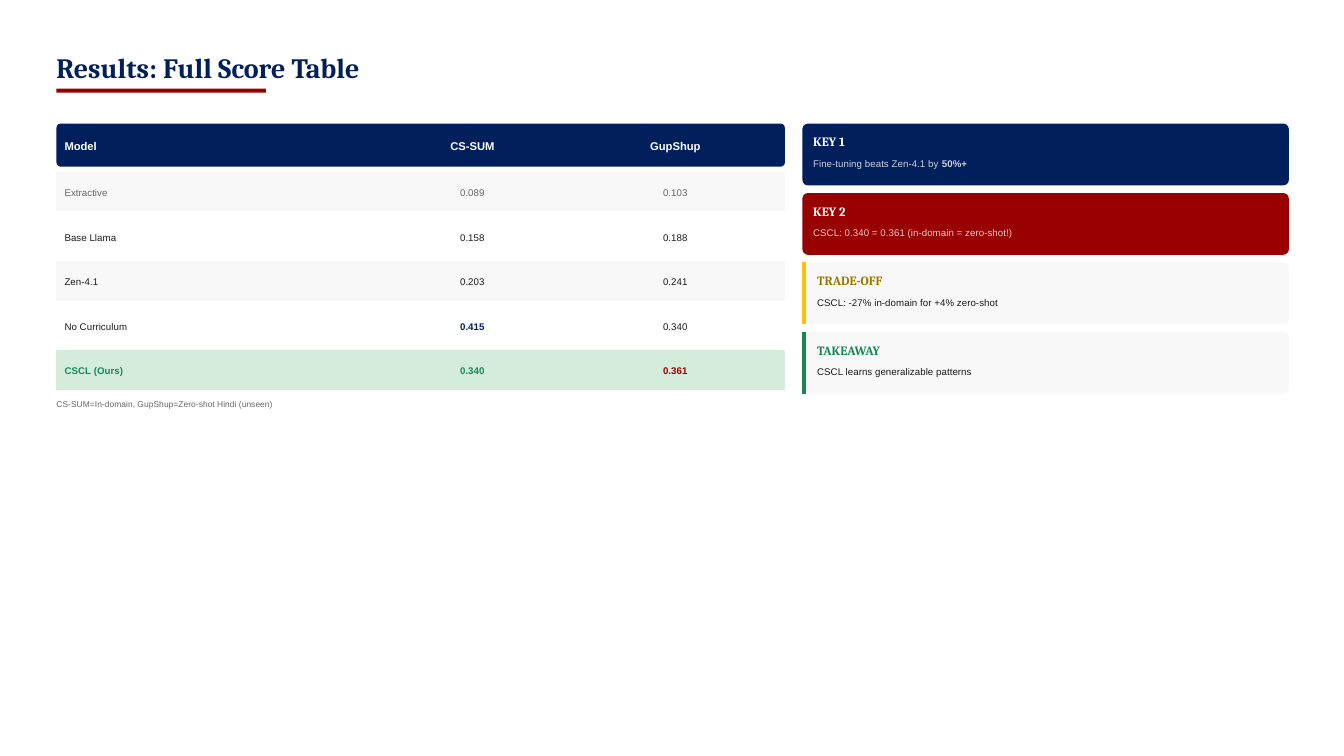
from lxml.etree import SubElement
from pptx import Presentation
from pptx.dml.color import RGBColor
from pptx.enum.shapes import MSO_CONNECTOR, MSO_SHAPE
from pptx.enum.text import MSO_ANCHOR, MSO_AUTO_SIZE, PP_ALIGN
from pptx.oxml import parse_xml
from pptx.oxml.ns import nsdecls, qn
from pptx.util import Inches, Pt

NAVY, RED, GREEN, AMBER = "011F5B", "990000", "198754", "FFC107"
WHITE, PALE, MINT = "FFFFFF", "F8F8F8", "D4EDDA"
INK, GREY, OCHRE = "1A1A1A", "666666", "997A00"

TITLE = "Results: Full Score Table"
NOTE = "CS-SUM=In-domain, GupShup=Zero-shot Hindi (unseen)"
HEADER = ("Model", "CS-SUM", "GupShup")
# row fill, then (text, colour, bold) for each cell
ROWS = [
    (PALE, [("Extractive", GREY, False), ("0.089", GREY, False), ("0.103", GREY, False)]),
    (WHITE, [("Base Llama", INK, False), ("0.158", INK, False), ("0.188", INK, False)]),
    (PALE, [("Zen-4.1", INK, False), ("0.203", INK, False), ("0.241", INK, False)]),
    (WHITE, [("No Curriculum", INK, False), ("0.415", NAVY, True), ("0.340", INK, False)]),
    (MINT, [("CSCL (Ours)", GREEN, True), ("0.340", GREEN, True), ("0.361", RED, True)]),
]
# heading, heading colour, body runs (text, bold), card fill, accent colour
CARDS = [
    ("KEY 1", WHITE, [("Fine-tuning beats Zen-4.1 by ", False), ("50%+", True)], NAVY, None),
    ("KEY 2", WHITE, [("CSCL: 0.340 = 0.361 (in-domain = zero-shot!)", False)], RED, None),
    ("TRADE-OFF", OCHRE, [("CSCL: -27% in-domain for +4% zero-shot", False)], PALE, AMBER),
    ("TAKEAWAY", GREEN, [("CSCL learns generalizable patterns", False)], PALE, GREEN),
]

LEFT, TOP, TABLE_W = 0.42, 0.92, 5.42
COL_WIDTHS = (2.34, 1.51, 1.57)
HEAD_H, ROWS_H, CELL_PAD = 0.34, 1.66, 0.06
CARD_X, CARD_W, CARD_H, CARDS_BOTTOM = 5.97, 3.62, 0.46, 2.93
BODY_SIZE = 5.25


def rgb(value):
    return RGBColor.from_string(value)


def add_run(p, text, size, color, bold=False, font="Arial", alpha=None):
    r = p.add_run()
    r.text = text
    for name, value in dict(size=Pt(size), bold=bold, name=font).items():
        setattr(r.font, name, value)
    r.font.color.rgb = rgb(color)
    if alpha:
        clr = r.font.fill._xPr.find(qn("a:solidFill"))[0]
        SubElement(clr, qn("a:alpha"), val=str(alpha * 1000))


def plain_frame(sp):
    """Clear margins and autofit; return the first paragraph."""
    tf = sp.text_frame
    settings = dict(margin_left=0, margin_top=0, margin_right=0, margin_bottom=0,
                    word_wrap=True, auto_size=MSO_AUTO_SIZE.NONE,
                    vertical_anchor=MSO_ANCHOR.TOP)
    for name, value in settings.items():
        setattr(tf, name, value)
    return tf.paragraphs[0]


def add_text(s, x, y, w, h, runs, leading, size, color, **style):
    p = plain_frame(s.shapes.add_textbox(*map(Inches, (x, y, w, h))))
    p.line_spacing = Pt(leading)
    for text, bold in runs:
        add_run(p, text, size, color, bold, **style)


def add_box(s, kind, x, y, w, h, fill, radius=None):
    sp = s.shapes.add_shape(kind, *map(Inches, (x, y, w, h)))
    sp.shadow.inherit = False
    sp.fill.solid()
    sp.fill.fore_color.rgb = rgb(fill)
    sp.line.fill.background()
    if radius:
        sp.adjustments[0] = radius


def set_borders(cell, top):
    """White rules between rows make the gaps; the sides have none."""
    tc_pr = cell._tc.get_or_add_tcPr()
    rule = f'<a:solidFill><a:srgbClr val="{WHITE}"/></a:solidFill>'
    sides = (("lnL", False), ("lnR", False), ("lnT", top), ("lnB", True))
    for i, (tag, shown) in enumerate(sides):
        tc_pr.insert(i, parse_xml(f'<a:{tag} {nsdecls("a")} w="{Pt(3) if shown else 0}">'
                                  f'{rule if shown else "<a:noFill/>"}</a:{tag}>'))


def add_scores(s):
    add_box(s, MSO_SHAPE.ROUNDED_RECTANGLE, LEFT, TOP, TABLE_W, 0.32, NAVY, 0.096)
    rows = [(None, [(text, WHITE, True) for text in HEADER])] + ROWS
    table = s.shapes.add_table(len(rows), len(HEADER), *map(
        Inches, (LEFT, TOP, TABLE_W, HEAD_H + ROWS_H))).table
    table.first_row = table.horz_banding = False
    for col, width in zip(table.columns, COL_WIDTHS):
        col.width = Inches(width)
    for i, (fill, cells) in enumerate(rows):
        table.rows[i].height = Inches(ROWS_H / len(ROWS) if i else HEAD_H)
        for j, (text, color, bold) in enumerate(cells):
            cell = table.cell(i, j)
            settings = dict(margin_top=Inches(0.02 if i else 0), margin_bottom=0,
                            margin_left=Inches(0 if j else CELL_PAD),
                            margin_right=Inches(CELL_PAD if j == 2 else 0),
                            vertical_anchor=MSO_ANCHOR.MIDDLE)
            for name, value in settings.items():
                setattr(cell, name, value)
            if fill:
                cell.fill.solid()
                cell.fill.fore_color.rgb = rgb(fill)
            else:
                cell.fill.background()
            set_borders(cell, top=i > 0)
            p = cell.text_frame.paragraphs[0]
            p.alignment = PP_ALIGN.CENTER if j else PP_ALIGN.LEFT
            add_run(p, text, BODY_SIZE if i else 6, color, bold)


def add_cards(s):
    pitch = (CARDS_BOTTOM - CARD_H - TOP) / (len(CARDS) - 1)
    for i, (heading, color, body, fill, accent) in enumerate(CARDS):
        y = TOP + i * pitch
        add_box(s, MSO_SHAPE.ROUNDED_RECTANGLE, CARD_X, y, CARD_W, CARD_H, fill, 0.09)
        if accent:
            x = CARD_X + 0.01
            line = s.shapes.add_connector(MSO_CONNECTOR.STRAIGHT, *map(
                Inches, (x, y, x, y + CARD_H)))
            line.line.color.rgb = rgb(accent)
            line.line.width = Pt(2.25)
            SubElement(line._element.spPr, qn("a:effectLst"))
        x, w = (6.08, 3.49) if accent else (6.05, 3.52)
        add_text(s, x, y + 0.08, w, 0.11, [(heading, True)], 8.1, 6.8, color, font="Cambria")
        add_text(s, x, y + 0.24, w, 0.1, body, 7.3, BODY_SIZE, INK if accent else WHITE,
                 alpha=None if accent else 80)


def main():
    prs = Presentation()
    prs.slide_width = Inches(10)
    prs.slide_height = prs.slide_width * 9 // 16
    s = prs.slides.add_slide(prs.slide_layouts[5])
    title = s.shapes.title
    title.left, title.top, title.width, title.height = map(Inches, (LEFT, 0.42, 4.69, 0.21))
    p = plain_frame(title)
    p.alignment = PP_ALIGN.LEFT
    p.line_spacing = Pt(15)
    add_run(p, TITLE, 15, NAVY, True, "Cambria")
    add_box(s, MSO_SHAPE.RECTANGLE, LEFT, 0.66, 1.56, 0.03, RED)
    add_scores(s)
    add_text(s, LEFT, 2.96, 5.53, 0.09, [(NOTE, False)], 6.3, 4.5, GREY)
    add_cards(s)
    prs.save("out.pptx")


if __name__ == "__main__":
    main()
